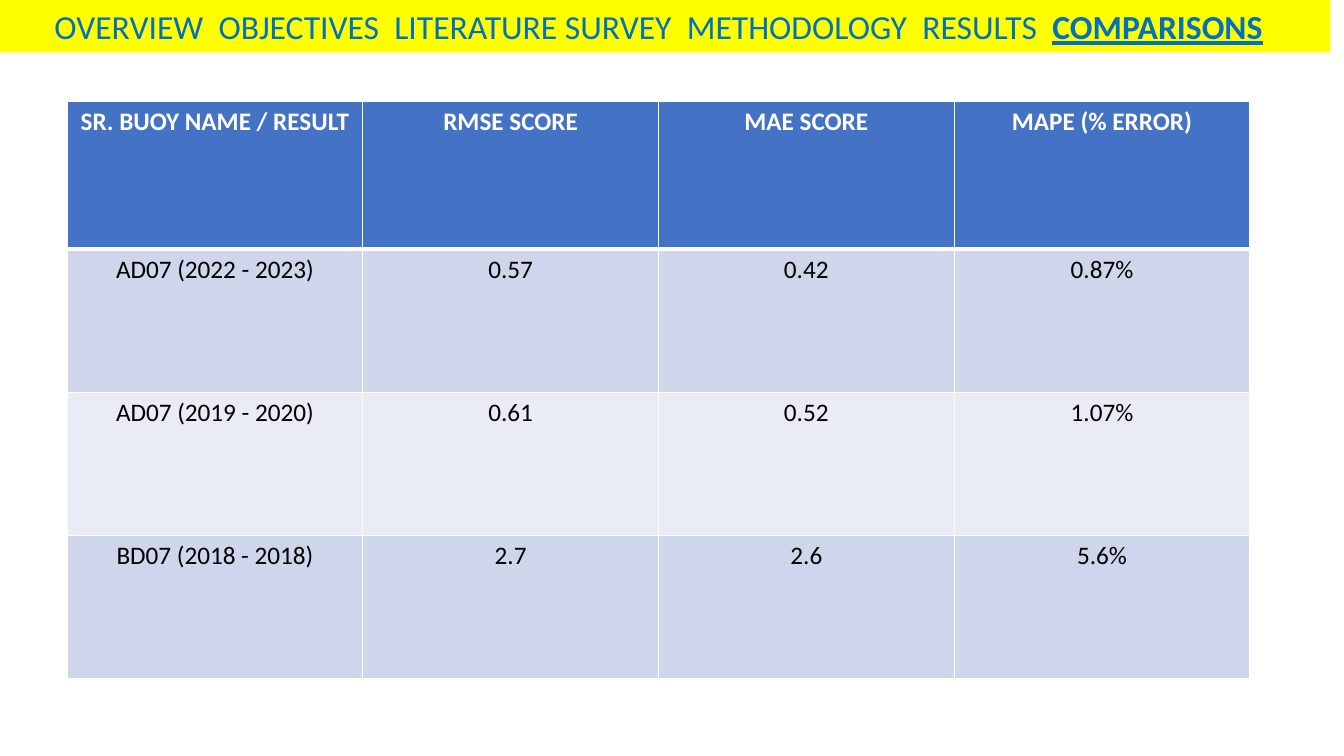
"""Build the slide comparing forecast errors across buoys."""
from dataclasses import dataclass

import pptx
import pptx.dml.color
import pptx.enum.shapes
import pptx.enum.text
import pptx.oxml
import pptx.oxml.ns
import pptx.util


@dataclass(frozen=True)
class Theme:
    font: str = "Calibri"
    nav_size: int = 24
    table_size: int = 18
    nav_fill: str = "FFFF00"
    nav_text: str = "0070C0"
    header_fill: str = "4472C4"
    header_text: str = "FFFFFF"
    body_text: str = "000000"
    bands: tuple[str, str] = ("CFD5EA", "E9EBF5")
    rule: str = "FFFFFF"
    thin: int = 1
    thick: int = 3


@dataclass(frozen=True)
class Area:
    """Position and size in percent of the slide."""
    left: float
    top: float
    width: float
    height: float


@dataclass(frozen=True)
class Score:
    buoy: str
    rmse: str
    mae: str
    mape: str


THEME = Theme()
SLIDE_WIDTH = pptx.util.Inches(13.33)
SLIDE_HEIGHT = pptx.util.Inches(7.5)
NAV_AREA = Area(-1, 0, 100, 6.93)
TABLE_AREA = Area(5, 13.47, 88, 76.35)
HEADER_HEIGHT = 19.5

SECTIONS = ("OVERVIEW", "OBJECTIVES", "LITERATURE SURVEY", "METHODOLOGY", "RESULTS")
CURRENT_SECTION = "COMPARISONS"
SECTION_GAP = "  "
SCORES = (
    Score("SR. BUOY NAME / RESULT", "RMSE SCORE", "MAE SCORE", "MAPE (% ERROR)"),
    Score("AD07 (2022 - 2023)", "0.57", "0.42", "0.87%"),
    Score("AD07 (2019 - 2020)", "0.61", "0.52", "1.07%"),
    Score("BD07 (2018 - 2018)", "2.7", "2.6", "5.6%"),
)


def across(percent: float) -> int:
    return round(SLIDE_WIDTH * percent / 100)


def down(percent: float) -> int:
    return round(SLIDE_HEIGHT * percent / 100)


def place(area: Area) -> tuple[int, int, int, int]:
    return across(area.left), down(area.top), across(area.width), down(area.height)


def rgb(colour: str) -> pptx.dml.color.RGBColor:
    return pptx.dml.color.RGBColor.from_string(colour)


def style_paragraph(paragraph, size: int, colour: str, bold: bool = False) -> None:
    paragraph.alignment = pptx.enum.text.PP_ALIGN.CENTER
    for run in paragraph.runs:
        run.font.name = THEME.font
        run.font.size = pptx.util.Pt(size)
        run.font.bold = bold
        run.font.color.rgb = rgb(colour)


def draw_navigation(slide) -> None:
    banner = slide.shapes.add_shape(
        pptx.enum.shapes.MSO_SHAPE.RECTANGLE, *place(NAV_AREA))
    banner.shadow.inherit = False
    banner.fill.solid()
    banner.fill.fore_color.rgb = rgb(THEME.nav_fill)
    banner.line.fill.background()
    banner.text_frame.vertical_anchor = pptx.enum.text.MSO_ANCHOR.MIDDLE
    trail = banner.text_frame.paragraphs[0]
    trail.text = SECTION_GAP.join(SECTIONS) + SECTION_GAP
    current = trail.add_run()
    current.text = CURRENT_SECTION
    style_paragraph(trail, THEME.nav_size, THEME.nav_text)
    current.font.bold = True
    current.font.underline = True


def rule_cell(cell, top: int, bottom: int) -> None:
    properties = cell._tc.get_or_add_tcPr()
    edges = {"lnL": THEME.thin, "lnR": THEME.thin, "lnT": top, "lnB": bottom}
    for edge, points in edges.items():
        properties.append(pptx.oxml.parse_xml(
            f'<a:{edge} {pptx.oxml.ns.nsdecls("a")} w="{pptx.util.Pt(points)}">'
            f'<a:solidFill><a:srgbClr val="{THEME.rule}"/></a:solidFill></a:{edge}>'))


def draw_scores(slide) -> None:
    columns = ("buoy", "rmse", "mae", "mape")
    table = slide.shapes.add_table(
        len(SCORES), len(columns), *place(TABLE_AREA)).table
    table.first_row = False
    table.horz_banding = False
    for column in table.columns:
        column.width = across(TABLE_AREA.width / len(columns))
    body_height = (TABLE_AREA.height - HEADER_HEIGHT) / (len(SCORES) - 1)
    for index, score in enumerate(SCORES):
        header = index == 0
        fill = THEME.header_fill if header else THEME.bands[(index - 1) % 2]
        colour = THEME.header_text if header else THEME.body_text
        table.rows[index].height = down(HEADER_HEIGHT if header else body_height)
        for position, field in enumerate(columns):
            cell = table.cell(index, position)
            rule_cell(cell,
                      top=THEME.thick if index == 1 else THEME.thin,
                      bottom=THEME.thick if header else THEME.thin)
            cell.fill.solid()
            cell.fill.fore_color.rgb = rgb(fill)
            cell.text_frame.text = getattr(score, field)
            style_paragraph(cell.text_frame.paragraphs[0],
                            THEME.table_size, colour, bold=header)


def main() -> None:
    deck = pptx.Presentation()
    deck.slide_width = SLIDE_WIDTH
    deck.slide_height = SLIDE_HEIGHT
    slide = deck.slides.add_slide(deck.slide_layouts[6])
    draw_navigation(slide)
    draw_scores(slide)
    deck.save("out.pptx")


if __name__ == "__main__":
    main()
